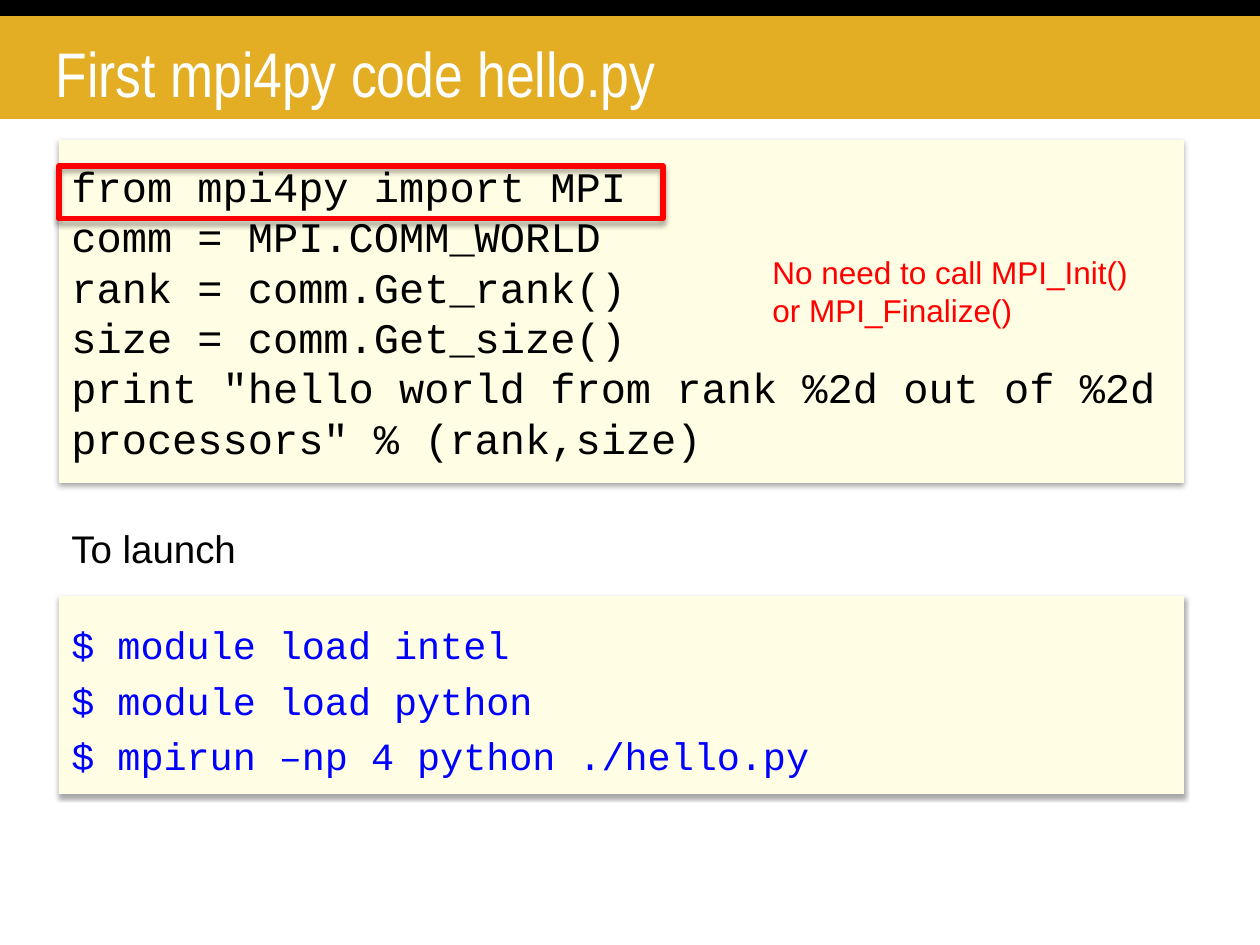
from lxml import etree
from pptx import Presentation
from pptx.dml.color import RGBColor
from pptx.enum.shapes import MSO_SHAPE
from pptx.enum.text import MSO_ANCHOR, MSO_AUTO_SIZE, PP_ALIGN
from pptx.oxml.ns import qn
from pptx.util import Pt

RECTANGLE = MSO_SHAPE.RECTANGLE
TOP, MIDDLE = MSO_ANCHOR.TOP, MSO_ANCHOR.MIDDLE
NO_AUTOFIT = MSO_AUTO_SIZE.NONE
LEFT = PP_ALIGN.LEFT

PX = 914400 / 126
COLORS = {
    "gold": "E3AE24", "black": "000000", "white": "FFFFFF",
    "cream": "FFFDE4", "blue": "0000FF", "red": "FF0000",
}
MARGIN, CONTENT_WIDTH = 59, 1125


def add_box(at, fill=None, outline=None, shadow=False):
    """Add a rectangle at (left, top, width, height) in px."""
    box = slide.shapes.add_shape(RECTANGLE, *[round(v * PX) for v in at])
    box.shadow.inherit = False
    if fill:
        box.fill.solid()
        box.fill.fore_color.rgb = RGBColor.from_string(COLORS[fill])
    else:
        box.fill.background()
    if outline:
        box.line.color.rgb = RGBColor.from_string(COLORS[outline])
        box.line.width = Pt(3)
    else:
        box.line.fill.background()
    if shadow:
        effects = box._element.spPr.find(qn("a:effectLst"))
        outer = etree.SubElement(effects, qn("a:outerShdw"), blurRad=str(Pt(3.1)),
                                 dist=str(Pt(1.8)), dir="5400000", rotWithShape="0")
        color = etree.SubElement(outer, qn("a:srgbClr"), val=COLORS["black"])
        etree.SubElement(color, qn("a:alpha"), val="35000")
    return box


def write(holder, lines, size, font="Arial", color="black", anchor=TOP, spacing=1.0):
    frame = holder.text_frame
    frame.word_wrap = True
    frame.auto_size = NO_AUTOFIT
    frame.vertical_anchor = anchor
    frame.text = "\n".join(lines)
    for paragraph in frame.paragraphs:
        paragraph.alignment = LEFT
        paragraph.line_spacing = spacing
        paragraph.font.size = Pt(size)
        paragraph.font.name = font
        paragraph.font.color.rgb = RGBColor.from_string(COLORS[color])


prs = Presentation()
prs.slide_width, prs.slide_height = round(1260 * PX), round(945 * PX)
slide = prs.slides.add_slide(prs.slide_layouts[5])

# Header bands, with the title in front of them
add_box((0, 16, 1260, 103), fill="gold")
add_box((0, 0, 1260, 16), fill="black")
title = slide.shapes.title
title.left, title.top, title.width, title.height = [
    round(v * PX) for v in (43, 24, 1068, 96)]
write(title, ["First mpi4py code hello.py"], 36, font="Arial Narrow",
      color="white", anchor=MIDDLE)
slide.shapes._spTree.append(title._element)

# Program listing
program = add_box((MARGIN, 140, CONTENT_WIDTH, 343), fill="cream", shadow=True)
write(program, [
    "from mpi4py import MPI",
    "comm = MPI.COMM_WORLD",
    "rank = comm.Get_rank()",
    "size = comm.Get_size()",
    'print "hello world from rank %2d out of %2d processors" % (rank,size)',
], 24, font="Courier New", anchor=MIDDLE)

# Launch commands
launch_label = add_box((MARGIN, 519, CONTENT_WIDTH, 59))
write(launch_label, ["To launch"], 22)
commands = add_box((MARGIN, 596, CONTENT_WIDTH, 198), fill="cream", shadow=True)
write(commands, [
    "$ module load intel",
    "$ module load python",
    "$ mpirun –np 4 python ./hello.py",
], 22, font="Courier New", color="blue", anchor=MIDDLE, spacing=1.2)

# Emphasis on the import line and the remark beside the code
add_box((MARGIN, 166, 604, 53), outline="red", shadow=True)
remark = add_box((760, 247, 403, 89))
write(remark, ["No need to call MPI_Init() or MPI_Finalize()"], 18, color="red")

prs.save("out.pptx")
